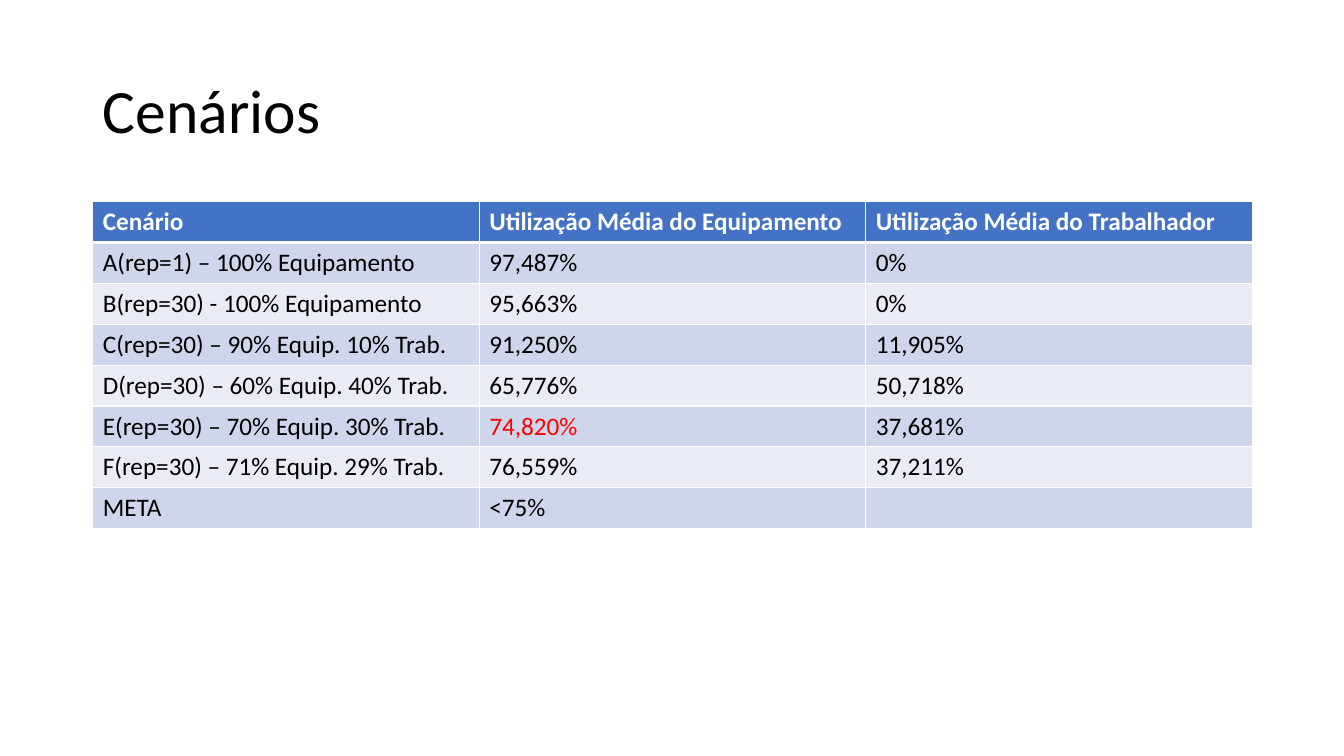
import dataclasses

import lxml.etree
import pptx
import pptx.dml.color
import pptx.enum.text
import pptx.oxml.ns
import pptx.util

Inches = pptx.util.Inches


@dataclasses.dataclass(frozen=True)
class Theme:
    font: str = "Calibri"
    title_size: int = 44
    table_size: int = 18
    text: str = "000000"
    header_text: str = "FFFFFF"
    highlight: str = "FF0000"
    header_fill: str = "4472C4"
    band_fills: tuple = ("CFD5EA", "E9EBF5")
    border: str = "FFFFFF"
    border_width: int = 1
    header_rule_width: int = 3


THEME = Theme()
TARGET_RESULT = "74,820%"
SCENARIOS = [
    ("Cenário", "Utilização Média do Equipamento", "Utilização Média do Trabalhador"),
    ("A(rep=1) – 100% Equipamento", "97,487%", "0%"),
    ("B(rep=30) - 100% Equipamento", "95,663%", "0%"),
    ("C(rep=30) – 90% Equip. 10% Trab.", "91,250%", "11,905%"),
    ("D(rep=30) – 60% Equip. 40% Trab.", "65,776%", "50,718%"),
    ("E(rep=30) – 70% Equip. 30% Trab.", TARGET_RESULT, "37,681%"),
    ("F(rep=30) – 71% Equip. 29% Trab.", "76,559%", "37,211%"),
    ("META", "<75%", ""),
]


def rgb(value):
    return pptx.dml.color.RGBColor.from_string(value)


def write_text(frame, text, *, size, color=THEME.text, bold=False, line_spacing=None):
    para = frame.paragraphs[0]
    para.alignment = pptx.enum.text.PP_ALIGN.LEFT
    para.line_spacing = line_spacing
    if not text:
        return
    span = para.add_run()
    span.text = text
    span.font.name = THEME.font
    span.font.size = pptx.util.Pt(size)
    span.font.bold = bold
    span.font.color.rgb = rgb(color)


def add_border(cell, side, width):
    qn = pptx.oxml.ns.qn
    properties = cell._tc.get_or_add_tcPr()
    line = lxml.etree.SubElement(properties, qn(f"a:ln{side}"), w=str(pptx.util.Pt(width)))
    fill = lxml.etree.SubElement(line, qn("a:solidFill"))
    lxml.etree.SubElement(fill, qn("a:srgbClr"), val=THEME.border)


def format_cell(cell, text, row):
    header = row == 0
    heavy_sides = {0: "B", 1: "T"}
    for side in "LRTB":
        heavy = heavy_sides.get(row) == side
        add_border(cell, side, THEME.header_rule_width if heavy else THEME.border_width)
    cell.fill.solid()
    cell.fill.fore_color.rgb = rgb(THEME.header_fill if header else THEME.band_fills[(row - 1) % 2])
    color = THEME.header_text if header else THEME.text
    if text == TARGET_RESULT:
        color = THEME.highlight
    write_text(cell.text_frame, text, size=THEME.table_size, color=color, bold=header)


def add_title(page, text):
    title = page.shapes.title
    title.left, title.top = Inches(0.92), Inches(0.4)
    title.width, title.height = Inches(11.5), Inches(1.45)
    title.text_frame.vertical_anchor = pptx.enum.text.MSO_ANCHOR.MIDDLE
    write_text(title.text_frame, text, size=THEME.title_size, line_spacing=0.9)


def add_scenario_table(page, records):
    box = page.shapes.add_table(
        len(records), len(records[0]), Inches(0.92), Inches(2), Inches(11.5), Inches(3.24)
    )
    for row, record in enumerate(records):
        for column, text in enumerate(record):
            format_cell(box.table.cell(row, column), text, row)


def main():
    deck = pptx.Presentation()
    deck.slide_width, deck.slide_height = Inches(13.33), Inches(7.5)
    page = deck.slides.add_slide(deck.slide_layouts.get_by_name("Title Only"))
    add_title(page, "Cenários")
    add_scenario_table(page, SCENARIOS)
    deck.save("out.pptx")


main()
